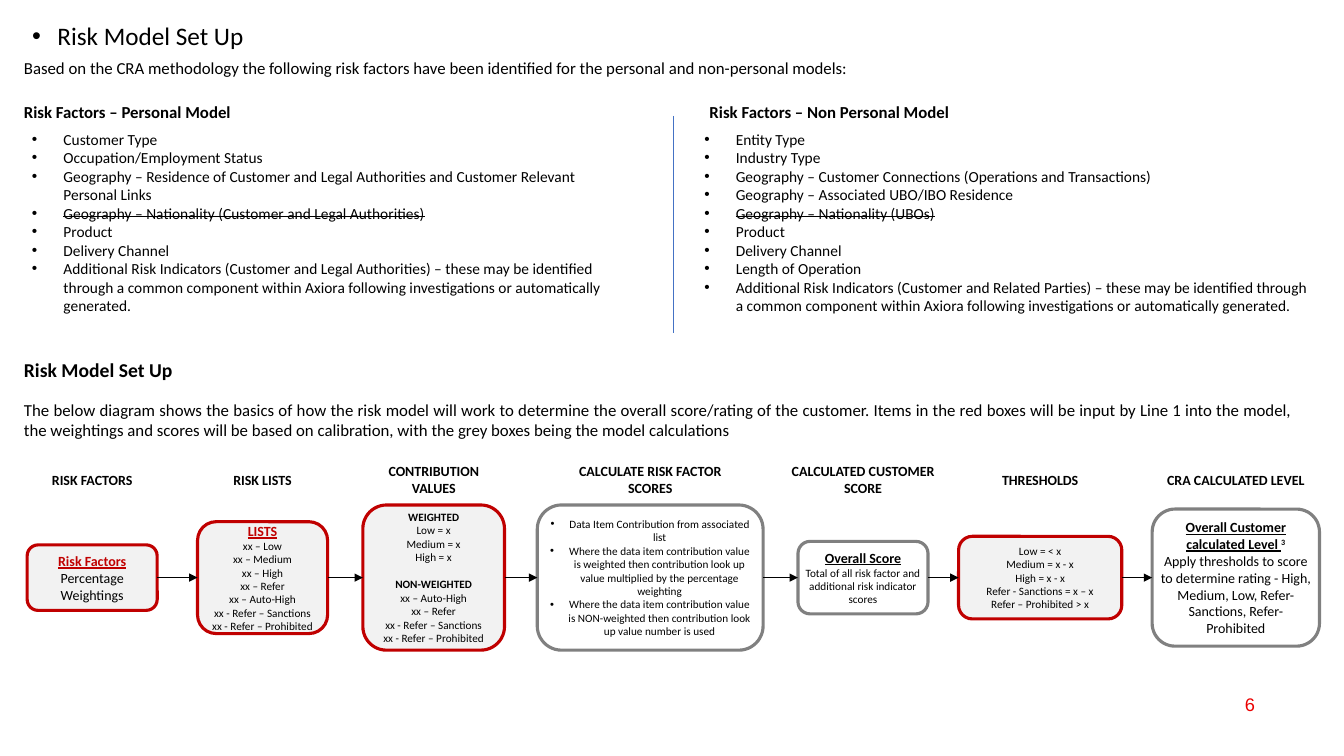
from lxml import etree
from pptx import Presentation
from pptx.dml.color import RGBColor
from pptx.enum.shapes import MSO_CONNECTOR, MSO_SHAPE
from pptx.enum.text import MSO_ANCHOR, MSO_AUTO_SIZE, PP_ALIGN
from pptx.oxml.ns import qn
from pptx.util import Pt

RED, GREY, PALE, WHITE, BLACK = "C00000", "808080", "F2F2F2", "FFFFFF", "000000"
LEFT, CENTER, RIGHT, JUSTIFY = PP_ALIGN.LEFT, PP_ALIGN.CENTER, PP_ALIGN.RIGHT, PP_ALIGN.JUSTIFY


def rgb(value):
    return RGBColor.from_string(value)


def para(text, size, **style):
    """Describe a paragraph: its text, size and whatever differs from plain."""
    return dict(style, text=text, size=size)


def paras(texts, size, **style):
    return [para(text, size, **style) for text in texts]


class SlideBuilder:
    font = "Calibri"

    def __init__(self, width, height):
        self.deck = Presentation()
        self.deck.slide_width, self.deck.slide_height = Pt(width), Pt(height)
        self.slide = self.deck.slides.add_slide(self.deck.slide_layouts[5])

    def add_run(self, paragraph, text, size, color=BLACK, bold=False, underline=False,
                strike=False, superscript=False, font=None):
        run = paragraph.add_run()
        run.text = text
        run.font.name, run.font.size = font or self.font, Pt(size)
        run.font.bold, run.font.underline = bold, underline
        run.font.color.rgb = rgb(color)
        if strike:
            run.font._element.set("strike", "sngStrike")
        if superscript:
            run.font._element.set("baseline", "30000")

    def set_text(self, shape, paragraphs, align=LEFT, anchor=MSO_ANCHOR.TOP, side=7.2):
        frame = shape.text_frame
        frame.word_wrap, frame.auto_size = True, MSO_AUTO_SIZE.NONE
        frame.vertical_anchor = anchor
        frame.margin_left = frame.margin_right = Pt(side)
        frame.margin_top = frame.margin_bottom = Pt(3.6)
        for i, spec in enumerate(paragraphs):
            spec = dict(spec)
            indent, note = spec.pop("indent", 0), spec.pop("note", None)
            before, spacing = spec.pop("before", 0), spec.pop("spacing", 1.0)
            paragraph = frame.add_paragraph() if i else frame.paragraphs[0]
            paragraph.alignment = align
            paragraph.space_before, paragraph.line_spacing = Pt(before), spacing
            if indent:
                props = paragraph._p.get_or_add_pPr()
                props.set("marL", str(Pt(indent)))
                props.set("indent", str(-Pt(indent)))
                etree.SubElement(props, qn("a:buFont")).set("typeface", "Arial")
                etree.SubElement(props, qn("a:buChar")).set("char", "•")
            self.add_run(paragraph, **spec)
            if note:
                self.add_run(paragraph, note, spec["size"], bold=True, superscript=True)

    def title(self, x, y, w, h, paragraph):
        shape = self.slide.shapes.title
        shape.left, shape.top, shape.width, shape.height = Pt(x), Pt(y), Pt(w), Pt(h)
        self.set_text(shape, [paragraph])

    def text(self, x, y, w, h, paragraphs, **layout):
        shape = self.slide.shapes.add_textbox(Pt(x), Pt(y), Pt(w), Pt(h))
        self.set_text(shape, paragraphs, **layout)

    def box(self, x, y, w, h, fill, outline, paragraphs):
        shape = self.slide.shapes.add_shape(
            MSO_SHAPE.ROUNDED_RECTANGLE, Pt(x), Pt(y), Pt(w), Pt(h))
        shape.shadow.inherit = False
        shape.fill.solid()
        shape.fill.fore_color.rgb = rgb(fill)
        shape.line.color.rgb, shape.line.width = rgb(outline), Pt(2.25)
        self.set_text(shape, paragraphs, CENTER, MSO_ANCHOR.MIDDLE, side=1.4)

    def line(self, x1, y1, x2, y2, color, width, arrow=False, kind=MSO_CONNECTOR.STRAIGHT):
        line = self.slide.shapes.add_connector(kind, Pt(x1), Pt(y1), Pt(x2), Pt(y2))
        line.line.color.rgb, line.line.width = rgb(color), Pt(width)
        if arrow:
            outline = line._element.spPr.find(qn("a:ln"))
            etree.SubElement(outline, qn("a:tailEnd")).set("type", "triangle")
        etree.SubElement(line._element.spPr, qn("a:effectLst"))


page = SlideBuilder(960, 540)

# Title and introduction
page.title(15.8, 13, 397.4, 23.8, para("Risk Model Set Up", 18, indent=18, spacing=0.9))
page.text(10, 37.4, 921, 21.6, paras([
    "Based on the CRA methodology the following risk factors have been identified "
    "for the personal and non-personal models:"], 12), align=JUSTIFY)

# Risk factor lists, one per model
INDICATORS = ("Additional Risk Indicators (Customer and {}) – these may be identified through "
              "a common component within Axiora following investigations or automatically generated.")
models = [
    (10, "Risk Factors – Personal Model", 15.8, 434.2, [
        "Customer Type", "Occupation/Employment Status",
        "Geography – Residence of Customer and Legal Authorities and Customer Relevant Personal Links",
        "Geography – Nationality (Customer and Legal Authorities)",
        "Product", "Delivery Channel", INDICATORS.format("Legal Authorities")]),
    (499.7, "Risk Factors – Non Personal Model", 496, 448.6, [
        "Entity Type", "Industry Type",
        "Geography – Customer Connections (Operations and Transactions)",
        "Geography – Associated UBO/IBO Residence", "Geography – Nationality (UBOs)",
        "Product", "Delivery Channel", "Length of Operation",
        INDICATORS.format("Related Parties")]),
]
for heading_x, heading, list_x, list_w, factors in models:
    page.text(heading_x, 70.6, 397.4, 23.8, [para(heading, 12, bold=True, spacing=0.9)])
    page.text(list_x, 89.3, list_w, 140.4, [
        para(factor, 11, indent=22.5, strike="Nationality" in factor) for factor in factors])
page.line(481, 82.8, 481, 237.6, "4472C4", 0.5)

# Diagram introduction
page.text(10, 254.2, 397.4, 23.8, [para("Risk Model Set Up", 14, bold=True, spacing=0.9)])
page.text(10, 282.2, 921, 36, paras([
    "The below diagram shows the basics of how the risk model will work to determine the overall "
    "score/rating of the customer. Items in the red boxes will be input by Line 1 into the model, "
    "the weightings and scores will be based on calibration, with the grey boxes being the model "
    "calculations"], 12), align=JUSTIFY)

# Steps: heading, heading width and height, box left, width and height, input or not, content
ONE_LINE, TWO_LINES = 19.4, 31.7
RED_HEAD = dict(color=RED, bold=True, underline=True)
BLACK_HEAD = dict(bold=True, underline=True)
REFERRALS = ["xx - Refer – Sanctions", "xx - Refer – Prohibited"]
steps = [
    ("RISK FACTORS", 99.4, ONE_LINE, 19.4, 92.9, 46.8, True,
     [para("Risk Factors", 10, **RED_HEAD), para("Percentage Weightings", 10)]),
    ("RISK LISTS", 115.2, ONE_LINE, 141.1, 92.9, 79.9, True,
     [para("LISTS", 10, **RED_HEAD)]
     + paras(["xx – Low", "xx – Medium", "xx – High", "xx – Refer", "xx – Auto-High"]
             + REFERRALS, 8)),
    ("CONTRIBUTION VALUES", 99.4, TWO_LINES, 259.2, 101.2, 103.7, True,
     [para("WEIGHTED", 8, bold=True)]
     + paras(["Low = x", "Medium = x", "High = x"], 8)
     + [para("NON-WEIGHTED", 8, bold=True, before=9.8)]
     + paras(["xx – Auto-High", "xx – Refer"] + REFERRALS, 8)),
    ("CALCULATE RISK FACTOR SCORES", 131, TWO_LINES, 383.8, 161.3, 103.7, False,
     paras(["Data Item Contribution from associated list",
            "Where the data item contribution value is weighted then contribution look up value "
            "multiplied by the percentage weighting",
            "Where the data item contribution value is NON-weighted then contribution look up "
            "value number is used"], 8, indent=13.5)),
    ("CALCULATED CUSTOMER SCORE", 118, TWO_LINES, 570, 92.9, 51.8, False,
     [para("Overall Score", 10, **BLACK_HEAD),
      para("Total of all risk factor and additional risk indicator scores", 8)]),
    ("THRESHOLDS", 99.4, ONE_LINE, 684.7, 116.6, 59, True,
     paras(["Low = < x", "Medium = x - x", "High = x - x", "Refer - Sanctions = x – x",
            "Refer – Prohibited > x"], 8)),
    ("CRA CALCULATED LEVEL", 141.8, ONE_LINE, 823, 119.5, 97.9, False,
     [para("Overall Customer calculated Level ", 10, note="3", **BLACK_HEAD),
      para("Apply thresholds to score to determine rating - High, Medium, Low, "
           "Refer-Sanctions, Refer-Prohibited", 10)]),
]
HEADING_Y, FLOW_Y = 342.7, 412.6
for heading, heading_w, heading_h, x, w, h, is_input, content in steps:
    page.text(x + w / 2 - heading_w / 2, HEADING_Y - heading_h / 2, heading_w, heading_h,
              [para(heading, 10, bold=True)], align=CENTER)
    fill, outline = (PALE, RED) if is_input else (WHITE, GREY)
    page.box(x, FLOW_Y - h / 2, w, h, fill, outline, content)

# Arrows between neighbouring steps
for i, (step, following) in enumerate(zip(steps, steps[1:])):
    kind = MSO_CONNECTOR.ELBOW if i == 1 else MSO_CONNECTOR.STRAIGHT
    page.line(step[3] + step[4], FLOW_Y, following[3], FLOW_Y, BLACK,
              0.75 if i < 2 else 0.5, arrow=True, kind=kind)

# Page number
page.text(687.6, 488.9, 216, 28.8, [para("6", 13, color="EB0000", font="Arial")],
          align=RIGHT, anchor=MSO_ANCHOR.MIDDLE)

page.deck.save("out.pptx")
